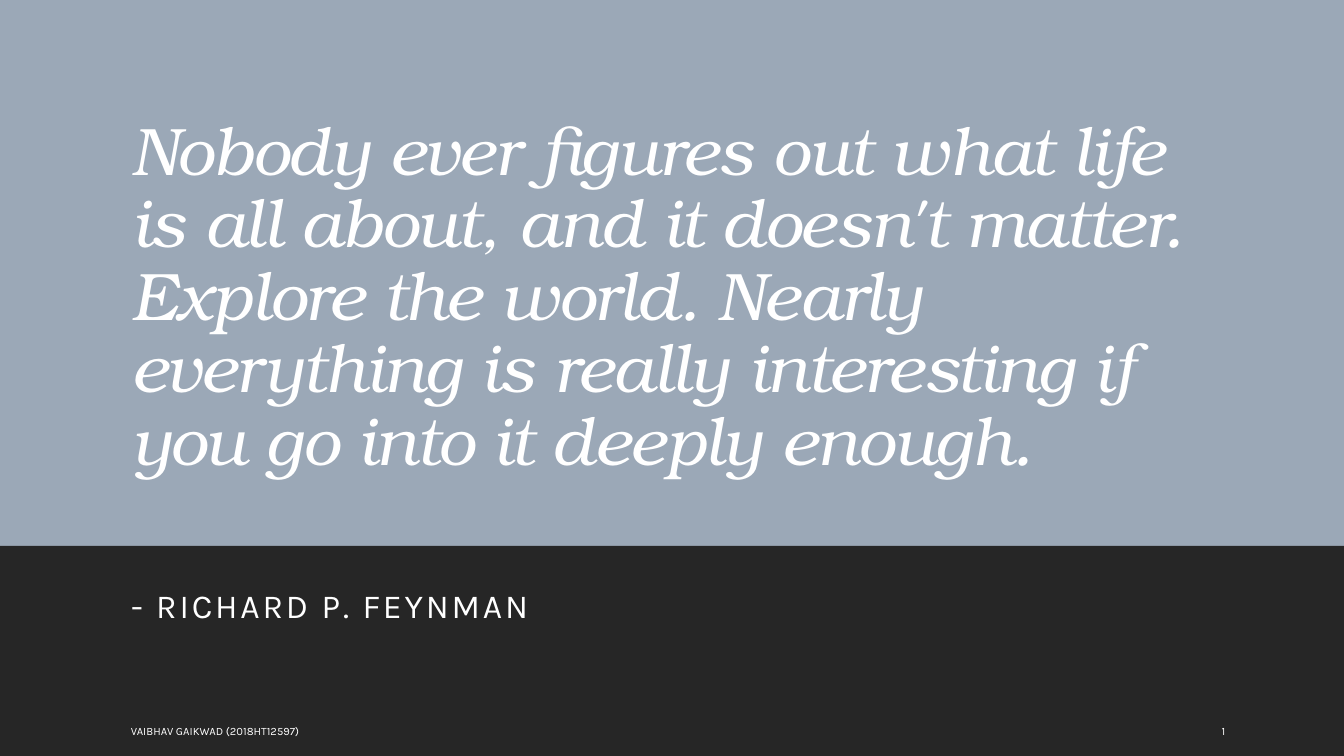
from pptx import Presentation
from pptx.dml.color import RGBColor
from pptx.enum import shapes, text
from pptx.util import Pt

WHITE = RGBColor(0xFF, 0xFF, 0xFF)
BLUE = RGBColor(0x9B, 0xA8, 0xB7)
DARK = RGBColor(0x26, 0x26, 0x26)
SERIF, SANS = "TeX Gyre Bonum", "Karla"
WIDE, HIGH = 960, 540
LEFT, SPAN = 86.4, 792


def put_band(slide, top, high, color):
    band = slide.shapes.add_shape(
        shapes.MSO_SHAPE.RECTANGLE, Pt(0), Pt(top), Pt(WIDE), Pt(high))
    band.shadow.inherit = False
    band.fill.solid()
    band.fill.fore_color.rgb = color
    band.line.fill.background()


def put_text(shape, box, words, size, face, anchor, gap=0, slant=False):
    """Fill a shape with one left-aligned run; gap is letter spacing in points."""
    shape.left, shape.top, shape.width, shape.height = map(Pt, box)
    frame = shape.text_frame
    frame.word_wrap = True
    frame.auto_size = text.MSO_AUTO_SIZE.NONE
    frame.vertical_anchor = anchor
    para = frame.paragraphs[0]
    para.alignment = text.PP_ALIGN.LEFT
    run = para.add_run()
    run.text = words
    font = run.font
    font.size, font.name, font.italic = Pt(size), face, slant
    font.color.rgb = WHITE
    if gap:
        run._r.get_or_add_rPr().set("spc", str(round(gap * 100)))
    return para


def raise_up(slide, shape):
    """Bring a placeholder in front of the bands."""
    slide.shapes._spTree.append(shape._element)


def put_quote(slide, top, high):
    put_band(slide, top, high, BLUE)
    title = slide.shapes.title
    raise_up(slide, title)
    para = put_text(
        title, (LEFT, top + 60, SPAN, 306.5),
        "Nobody ever figures out what life is all about, and it doesn't matter. "
        "Explore the world. Nearly everything is really interesting if you go "
        "into it deeply enough.",
        48, SERIF, text.MSO_ANCHOR.MIDDLE, -0.5, True)
    para.line_spacing = 0.9
    para.space_before = Pt(0)


def put_source(slide, top, high):
    put_band(slide, top, high, DARK)
    body = slide.placeholders[1]
    raise_up(slide, body)
    para = put_text(body, (LEFT, top + 21, SPAN, 90), "- RICHARD P. FEYNMAN",
                    24, SANS, text.MSO_ANCHOR.TOP, 2)
    para.line_spacing = 1.1
    para.space_before, para.space_after = Pt(12), Pt(2)


def put_foot(slide, top, high):
    for left, wide, words in ((LEFT, 537, "VAIBHAV GAIKWAD (2018HT12597)"),
                              (865.5, 61, "1")):
        box = (left, top, wide, high)
        note = slide.shapes.add_textbox(*map(Pt, box))
        put_text(note, box, words, 8, SANS, text.MSO_ANCHOR.MIDDLE)


def main():
    deck = Presentation()
    deck.slide_width, deck.slide_height = Pt(WIDE), Pt(HIGH)
    slide = deck.slides.add_slide(deck.slide_layouts[0])
    put_quote(slide, 0, HIGH)
    put_source(slide, 390, HIGH - 390)
    put_foot(slide, 507.5, 29)
    deck.save("out.pptx")


if __name__ == "__main__":
    main()
